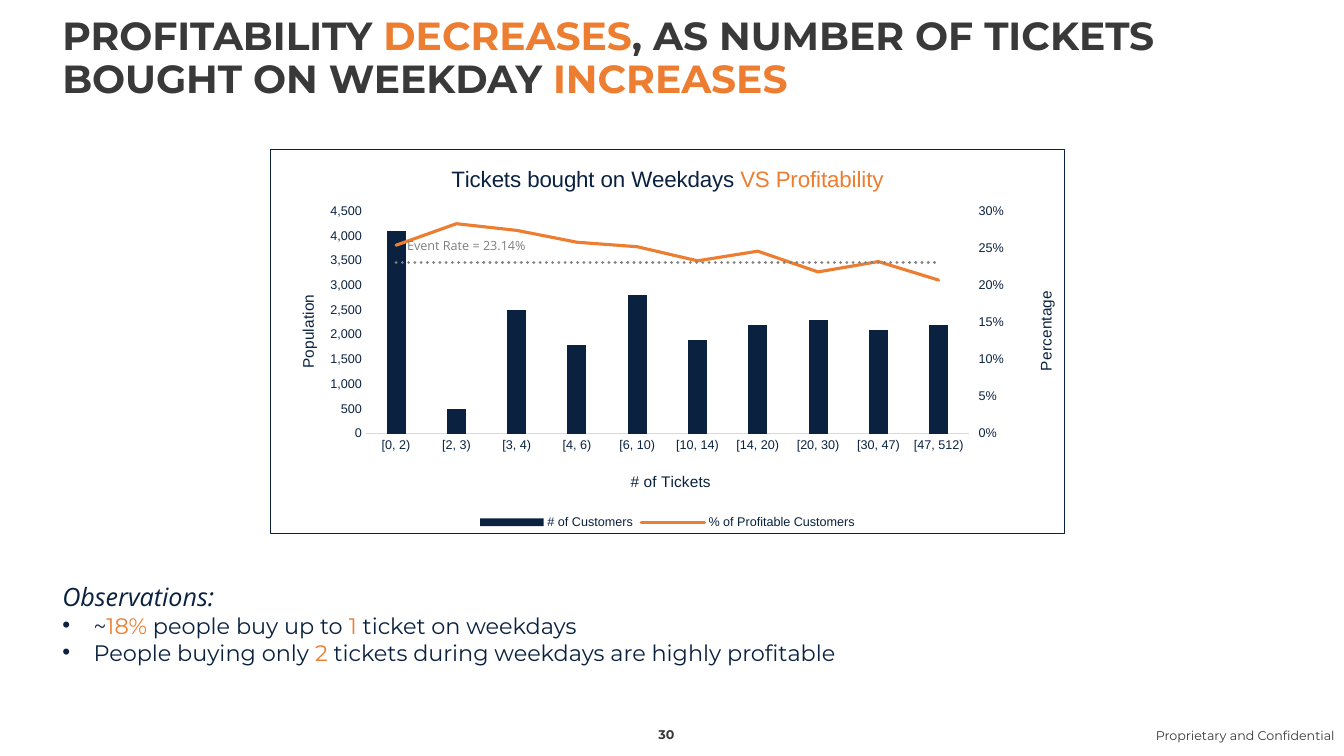
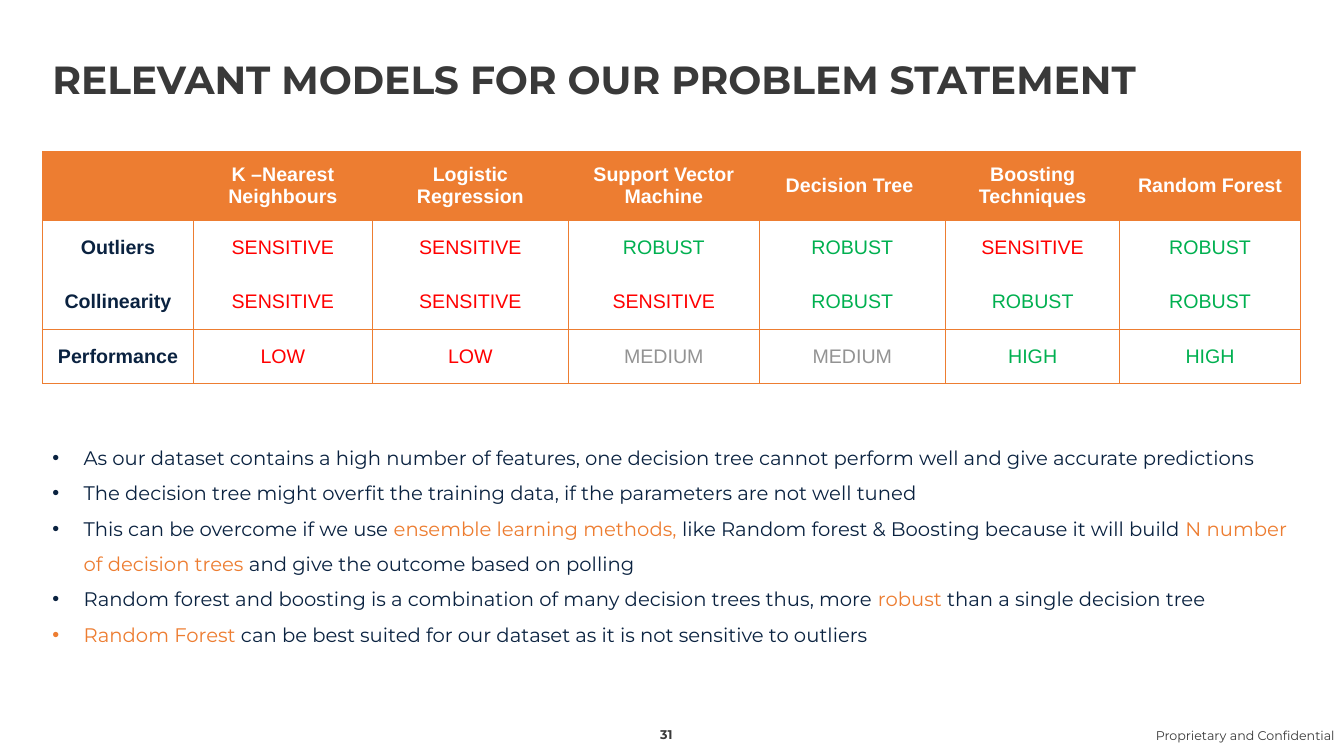
from copy import deepcopy

from pptx import Presentation
from pptx.chart.axis import ValueAxis
from pptx.chart.data import CategoryChartData
from pptx.dml.color import RGBColor
from pptx.enum.chart import XL_CHART_TYPE as CT, XL_LEGEND_POSITION as LP
from pptx.enum.chart import XL_MARKER_STYLE as MS, XL_TICK_MARK as TM
from pptx.enum.dml import MSO_LINE
from pptx.enum.text import MSO_ANCHOR as MA, PP_ALIGN as PA
from pptx.oxml import parse_xml
from pptx.oxml.ns import nsdecls, qn
from pptx.util import Cm, Pt

NAVY, ORANGE, DARK, GRAY = "0A2240", "ED7D31", "393939", "808080"
WHITE, RED, GREEN, SILVER = "FFFFFF", "FF0000", "00B050", "939393"
HEAD, BODY, DATA = "Montserrat", "Open Sans", "Arial"
TITLE_W, TITLE_H = 31.19, 2.41


def rgb(hex_code):
    return RGBColor.from_string(hex_code)


def set_font(font, size, name, color, bold=False, italic=False):
    font.size, font.name = Pt(size), name
    font.bold, font.italic = bold, italic
    font.color.rgb = rgb(color)


def write(p, text, size, name=HEAD, color=NAVY, bold=False, italic=False,
          align=None, spacing=None):
    """Fill a paragraph; parts between asterisks take the accent colour."""
    p.alignment = align
    if spacing:
        p.line_spacing = spacing
    for i, part in enumerate(text.split("*")):
        if part:
            r = p.add_run()
            r.text = part
            set_font(r.font, size, name, ORANGE if i % 2 else color, bold, italic)


def add_bullet(p):
    """Hang a bullet in the colour of the first run."""
    pPr = p._p.get_or_add_pPr()
    pPr.set("marL", str(Cm(0.79)))
    pPr.set("indent", str(-Cm(0.79)))
    color = p.runs[0].font.color.rgb
    for xml in (f'<a:buClr {nsdecls("a")}><a:srgbClr val="{color}"/></a:buClr>',
                f'<a:buFont {nsdecls("a")} typeface="Arial"/>',
                f'<a:buChar {nsdecls("a")} char="•"/>'):
        pPr.append(parse_xml(xml))


def add_box(s, x, y, w, h, anchor=MA.TOP):
    tf = s.shapes.add_textbox(Cm(x), Cm(y), Cm(w), Cm(h)).text_frame
    tf.word_wrap = True
    tf.vertical_anchor = anchor
    return tf


def add_frame(prs, title, number, x, y):
    """Add a slide with the shared title style and footer."""
    s = prs.slides.add_slide(prs.slide_layouts[6])
    tf = add_box(s, x, y, TITLE_W, TITLE_H, MA.BOTTOM)
    write(tf.paragraphs[0], title, 28, color=DARK, bold=True, spacing=0.9)
    tf = add_box(s, 16.08, 18.11, 1.52, 0.71, MA.BOTTOM)
    write(tf.paragraphs[0], f"{number} ", 9, color=DARK, bold=True, align=PA.CENTER)
    tf = add_box(s, 28.78, 18.21, 5.1, 0.71)
    write(tf.paragraphs[0], "Proprietary and Confidential", 9, color=DARK,
          align=PA.RIGHT)
    return s


def add_bullets(s, x, y, w, h, items, size, spacing=None, heading=None):
    tf = add_box(s, x, y, w, h)
    p = tf.paragraphs[0]
    if heading:
        write(p, heading, 18, BODY, italic=True)
        p = tf.add_paragraph()
    for i, item in enumerate(items):
        p = tf.add_paragraph() if i else p
        write(p, item, size, spacing=spacing)
        add_bullet(p)


def set_layout(el, x, y, w=None, h=None):
    """Fix a chart part at fractions of the chart area."""
    layout = el.find(qn("c:layout"))
    if layout is None:
        layout = parse_xml(f'<c:layout {nsdecls("c")}/>')
        el.insert(0, layout)
    target = '<c:layoutTarget val="inner"/>' if w else ""
    size = f'<c:w val="{w}"/><c:h val="{h}"/>' if w else ""
    layout.append(parse_xml(
        f'<c:manualLayout {nsdecls("c")}>{target}<c:xMode val="edge"/>'
        f'<c:yMode val="edge"/><c:x val="{x}"/><c:y val="{y}"/>{size}'
        '</c:manualLayout>'))


def title_axis(axis, text, x, y, upright=False):
    title = axis.axis_title
    write(title.text_frame.paragraphs[0], text, 11, DATA)
    if upright:
        body = title.element.find(".//" + qn("a:bodyPr"))
        body.set("rot", "-5400000")
        body.set("vert", "horz")
    set_layout(title.element, x, y)


def set_scale(axis, top, step, number_format):
    axis.minimum_scale, axis.maximum_scale, axis.major_unit = 0, top, step
    axis.tick_labels.number_format = number_format
    axis.tick_labels.number_format_is_linked = False


def move_to_right_axis(chart, first):
    """Turn the series from index first on into lines on a second value axis."""
    plot_area = chart.element.find(".//" + qn("c:plotArea"))
    bars = plot_area.find(qn("c:barChart"))
    lines = parse_xml(
        f'<c:lineChart {nsdecls("c")}><c:grouping val="standard"/>'
        '<c:varyColors val="0"/><c:marker val="1"/>'
        '<c:axId val="5001"/><c:axId val="5002"/></c:lineChart>')
    for ser in bars.findall(qn("c:ser"))[first:]:
        for flag in ser.findall(qn("c:invertIfNegative")):
            ser.remove(flag)
        lines.find(qn("c:marker")).addprevious(ser)
    bars.addnext(lines)

    cat = deepcopy(plot_area.find(qn("c:catAx")))
    val = deepcopy(plot_area.find(qn("c:valAx")))
    for axis, own, other in ((cat, "5001", "5002"), (val, "5002", "5001")):
        axis.find(qn("c:axId")).set("val", own)
        axis.find(qn("c:crossAx")).set("val", other)
    cat.find(qn("c:delete")).set("val", "1")
    val.find(qn("c:axPos")).set("val", "r")
    val.find(qn("c:crosses")).set("val", "max")
    plot_area.find(qn("c:valAx")).addnext(val)
    val.addnext(cat)
    return ValueAxis(val)


def add_ticket_chart(s, x, y, w, h):
    data = CategoryChartData()
    data.categories = ["[0, 2)", "[2, 3)", "[3, 4)", "[4, 6)", "[6, 10)", "[10, 14)",
                       "[14, 20)", "[20, 30)", "[30, 47)", "[47, 512)"]
    data.add_series("# of Customers", [4100, 500, 2500, 1800, 2800,
                                       1900, 2200, 2300, 2100, 2200])
    data.add_series("% of Profitable Customers",
                    [0.254, 0.283, 0.274, 0.258, 0.252,
                     0.233, 0.246, 0.218, 0.232, 0.207])
    data.add_series("Event Rate", [0.231] * 10)
    chart = s.shapes.add_chart(CT.COLUMN_CLUSTERED, Cm(x), Cm(y), Cm(w), Cm(h),
                               data).chart
    set_font(chart.font, 10, DATA, NAVY)
    chart.element.find(qn("c:txPr")).addprevious(parse_xml(
        f'<c:spPr {nsdecls("c", "a")}><a:solidFill><a:srgbClr val="{WHITE}"/>'
        f'</a:solidFill><a:ln w="{Pt(0.75)}"><a:solidFill><a:srgbClr val="{NAVY}"/>'
        '</a:solidFill></a:ln></c:spPr>'))
    chart.has_title = True
    write(chart.chart_title.text_frame.paragraphs[0],
          "Tickets bought on Weekdays *VS Profitability*", 16, DATA)

    cat, left = chart.category_axis, chart.value_axis
    left.has_major_gridlines = False
    for axis in (cat, left):
        set_font(axis.tick_labels.font, 9, DATA, NAVY)
        axis.major_tick_mark = axis.minor_tick_mark = TM.NONE
    cat.format.line.color.rgb = rgb("D9D9D9")
    cat.format.line.width = Pt(0.75)
    left.format.line.fill.background()
    right = move_to_right_axis(chart, 1)
    right.major_tick_mark = TM.OUTSIDE
    set_scale(left, 4500, 500, "#,##0")
    set_scale(right, 0.3, 0.05, "0%")
    title_axis(cat, "# of Tickets", 0.45, 0.83)
    title_axis(left, "Population", 0.03, 0.37, upright=True)
    title_axis(right, "Percentage", 0.96, 0.36, upright=True)
    set_layout(chart.element.find(".//" + qn("c:plotArea")), 0.12, 0.16, 0.76, 0.58)

    bars, lines = chart.plots
    bars.gap_width, bars.overlap, bars.vary_by_categories = 219, -27, False
    fill = bars.series[0].format.fill
    fill.solid()
    fill.fore_color.rgb = rgb(NAVY)
    for ser, color in zip(lines.series, (ORANGE, GRAY)):
        ser.smooth = False
        ser.marker.style = MS.NONE
        line = ser.format.line
        line.color.rgb, line.width = rgb(color), Pt(2.25)
        line._get_or_add_ln().set("cap", "rnd")
    line.dash_style = MSO_LINE.ROUND_DOT

    chart.has_legend = True
    legend = chart.legend
    legend.position, legend.include_in_layout = LP.BOTTOM, False
    set_font(legend.font, 9, DATA, NAVY)
    chart.element.find(".//" + qn("c:legendPos")).addnext(parse_xml(
        f'<c:legendEntry {nsdecls("c")}><c:idx val="2"/><c:delete val="1"/>'
        '</c:legendEntry>'))

    tf = add_box(s, x + 3.2, y + 2.11, 3.8, 0.64)
    write(tf.paragraphs[0], "Event Rate = 23.14%", 9, BODY, "7F7F7F")


def set_borders(cell, sides):
    tcPr = cell._tc.get_or_add_tcPr()
    for side in "LRTB":
        fill = (f'<a:solidFill><a:srgbClr val="{ORANGE}"/></a:solidFill>'
                if side in sides else "<a:noFill/>")
        tcPr.append(parse_xml(
            f'<a:ln{side} {nsdecls("a")} w="{Pt(0.75)}">{fill}</a:ln{side}>'))


def add_model_table(s, x, y):
    verdict_colors = {"SENSITIVE": RED, "LOW": RED, "ROBUST": GREEN, "HIGH": GREEN,
                      "MEDIUM": SILVER}
    rows = [
        ["", "K –Nearest Neighbours", "Logistic Regression", "Support Vector Machine",
         "Decision Tree ", "Boosting Techniques", "Random Forest"],
        ["Outliers", "SENSITIVE", "SENSITIVE", "ROBUST", "ROBUST", "SENSITIVE", "ROBUST"],
        ["Collinearity", "SENSITIVE", "SENSITIVE", "SENSITIVE", "ROBUST", "ROBUST",
         "ROBUST"],
        ["Performance", "LOW", "LOW", "MEDIUM", "MEDIUM", "HIGH", "HIGH"],
    ]
    sides = ["LRT", "LRT", "LRB", "LRTB"]
    widths = [3.81, 4.5, 4.95, 4.8, 4.7, 4.39, 4.55]
    heights = [1.75, 1.37, 1.37, 1.37]
    table = s.shapes.add_table(len(rows), len(widths), Cm(x), Cm(y),
                               Cm(sum(widths)), Cm(sum(heights))).table
    table.first_row = table.horz_banding = False
    for col, width in zip(table.columns, widths):
        col.width = Cm(width)
    for i, (row, height) in enumerate(zip(rows, heights)):
        table.rows[i].height = Cm(height)
        for j, text in enumerate(row):
            cell, header = table.cell(i, j), i == 0
            set_borders(cell, sides[i])
            cell.fill.solid()
            cell.fill.fore_color.rgb = rgb(ORANGE if header else WHITE)
            cell.vertical_anchor = MA.MIDDLE if header else MA.TOP
            color = WHITE if header else verdict_colors.get(text, NAVY)
            write(cell.text_frame.paragraphs[0], text, 14, DATA, color,
                  bold=header or j == 0, align=PA.CENTER,
                  spacing=None if header else 1.5)


def build_profitability(prs):
    s = add_frame(prs, "PROFITABILITY *DECREASES*, AS NUMBER OF TICKETS BOUGHT "
                  "ON WEEKDAY *INCREASES*", 30, 1.32, 0.28)
    add_ticket_chart(s, 6.81, 3.76, 20.02, 9.7)
    add_bullets(s, 1.32, 14.53, TITLE_W, 2.39, [
        "~*18%* people buy up to *1* ticket on weekdays",
        "People buying only *2 *tickets during weekdays are highly profitable",
    ], 16, heading="Observations:")


def build_models(prs):
    s = add_frame(prs, "RELEVANT MODELS FOR OUR PROBLEM STATEMENT", 31, 1.07, 0.3)
    add_model_table(s, 1.07, 3.81)
    add_bullets(s, 1.07, 10.82, 31.72, 5.51, [
        "As our dataset contains a high number of features, one decision tree cannot "
        "perform well and give accurate predictions",
        "The decision tree might overfit the training data, if the parameters are not "
        "well tuned",
        "This can be overcome if we use *ensemble learning methods, *like Random forest "
        "& Boosting because it will build *N number of decision trees *and give the "
        "outcome based on polling",
        "Random forest and boosting is a combination of many decision trees thus, more "
        "*robust *than a single decision tree",
        "*Random Forest* can be best suited for our dataset as it is not sensitive to "
        "outliers",
    ], 14, spacing=1.5)


def main():
    prs = Presentation()
    prs.slide_width, prs.slide_height = Cm(33.87), Cm(19.05)
    build_profitability(prs)
    build_models(prs)
    prs.save("out.pptx")


if __name__ == "__main__":
    main()
